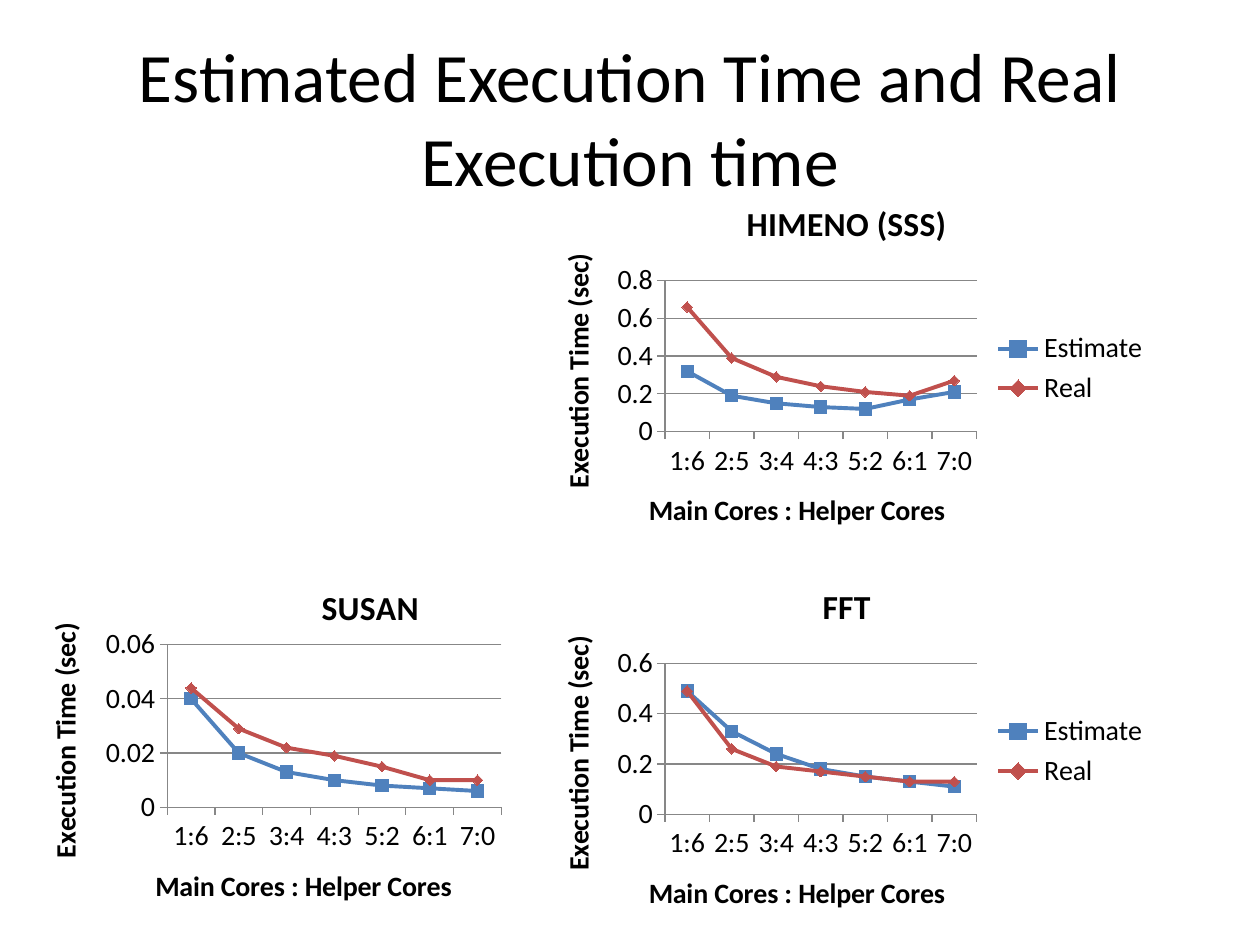
import dataclasses

import lxml.etree
import pptx
import pptx.chart.data
import pptx.dml.color
import pptx.enum.chart
import pptx.enum.text
import pptx.oxml.ns
import pptx.util


@dataclasses.dataclass(frozen=True)
class Theme:
    font: str = "Calibri"
    ink: str = "000000"
    axis: str = "878787"
    series: tuple = ("4F81BD", "C0504D")
    title_size: float = 39.6
    chart_title_size: float = 19.2
    body_size: float = 16
    line_width: float = 2.25
    axis_width: float = 0.75


@dataclasses.dataclass(frozen=True)
class Box:
    left: float
    top: float
    width: float
    height: float

    def lengths(self):
        return [
            pptx.util.Inches(share * side)
            for share, side in zip(
                (self.left, self.top, self.width, self.height), SLIDE_SIZE * 2
            )
        ]


THEME = Theme()
SLIDE_SIZE = (10, 7.5)
RATIOS = [f"{main}:{7 - main}" for main in range(1, 8)]
MARKERS = (
    (pptx.enum.chart.XL_MARKER_STYLE.SQUARE, 7),
    (pptx.enum.chart.XL_MARKER_STYLE.DIAMOND, 6),
)
RIGHT_COLUMN, UPPER_ROW, LOWER_ROW = 0.422, 0.19, 0.595
TITLE_BOX = Box(0.05, 0.04, 0.9, 0.167)
HIMENO_BOX = Box(RIGHT_COLUMN, UPPER_ROW, 0.5, 0.4)
SUSAN_BOX = Box(0.016, LOWER_ROW, 0.556, 0.436)
FFT_BOX = Box(RIGHT_COLUMN, LOWER_ROW, 0.5, 0.4)
SUSAN_PLOT = {"x": 0.21, "y": 0.2, "w": 0.477, "h": 0.395}

HIMENO = {
    "Estimate": (0.32, 0.19, 0.15, 0.13, 0.12, 0.17, 0.21),
    "Real": (0.66, 0.39, 0.29, 0.24, 0.21, 0.19, 0.27),
}
SUSAN = {
    "Series 1": (0.04, 0.02, 0.013, 0.01, 0.008, 0.007, 0.006),
    "Series 2": (0.044, 0.029, 0.022, 0.019, 0.015, 0.01, 0.01),
}
FFT = {
    "Estimate": (0.49, 0.33, 0.24, 0.18, 0.15, 0.13, 0.11),
    "Real": (0.49, 0.26, 0.19, 0.17, 0.15, 0.13, 0.13),
}


def color(value):
    return pptx.dml.color.RGBColor.from_string(value)


def format_font(font, size, bold=False):
    font.name = THEME.font
    font.size = pptx.util.Pt(size)
    font.bold = bold
    font.color.rgb = color(THEME.ink)


def write_text(frame, text, size=THEME.body_size, bold=False, align=None):
    paragraph = frame.paragraphs[0]
    paragraph.alignment = align
    run = paragraph.add_run()
    run.text = text
    format_font(run.font, size, bold)


def format_line(line, value, width):
    line.color.rgb = color(value)
    line.width = pptx.util.Pt(width)


def format_axis(axis, title):
    write_text(axis.axis_title.text_frame, title, bold=True)
    axis.major_tick_mark = pptx.enum.chart.XL_TICK_MARK.OUTSIDE
    axis.minor_tick_mark = pptx.enum.chart.XL_TICK_MARK.NONE
    format_line(axis.format.line, THEME.axis, THEME.axis_width)
    format_font(axis.tick_labels.font, THEME.body_size)


def place_plot(chart, shares):
    qualified = pptx.oxml.ns.qn
    plot_area = chart.plots[0]._element.getparent()
    for layout in plot_area.findall(qualified("c:layout")):
        plot_area.remove(layout)
    layout = lxml.etree.Element(qualified("c:layout"))
    plot_area.insert(0, layout)
    manual = lxml.etree.SubElement(layout, qualified("c:manualLayout"))
    settings = {"layoutTarget": "inner", "xMode": "edge", "yMode": "edge", **shares}
    for name, value in settings.items():
        element = lxml.etree.SubElement(manual, qualified(f"c:{name}"))
        element.set("val", str(value))


def format_series(series, value, marker):
    style, size = marker
    series.smooth = False
    format_line(series.format.line, value, THEME.line_width)
    series.marker.style = style
    series.marker.size = size
    series.marker.format.fill.solid()
    series.marker.format.fill.fore_color.rgb = color(value)
    format_line(series.marker.format.line, value, THEME.axis_width)


def add_time_chart(slide, box, title, times, maximum, step, legend=True, plot=None):
    chart_data = pptx.chart.data.CategoryChartData()
    chart_data.categories = RATIOS
    for name, values in times.items():
        chart_data.add_series(name, values)
    chart = slide.shapes.add_chart(
        pptx.enum.chart.XL_CHART_TYPE.LINE_MARKERS, *box.lengths(), chart_data
    ).chart
    format_font(chart.font, THEME.body_size)
    write_text(
        chart.chart_title.text_frame, title, size=THEME.chart_title_size, bold=True
    )
    chart.chart_title.include_in_layout = False
    chart.plots[0].vary_by_categories = False

    format_axis(chart.category_axis, "Main Cores : Helper Cores")
    format_axis(chart.value_axis, "Execution Time (sec)")
    chart.value_axis.minimum_scale = 0
    chart.value_axis.maximum_scale = maximum
    chart.value_axis.major_unit = step
    chart.value_axis.tick_labels.number_format = "General"
    chart.value_axis.tick_labels.number_format_is_linked = False
    gridlines = chart.value_axis.major_gridlines
    format_line(gridlines.format.line, THEME.axis, THEME.axis_width)

    for series, value, marker in zip(chart.plots[0].series, THEME.series, MARKERS):
        format_series(series, value, marker)
    chart.has_legend = legend
    if legend:
        chart.legend.position = pptx.enum.chart.XL_LEGEND_POSITION.RIGHT
        chart.legend.include_in_layout = False
        format_font(chart.legend.font, THEME.body_size)
    if plot:
        place_plot(chart, plot)


def add_title(slide, box, text):
    frame = slide.shapes.add_textbox(*box.lengths()).text_frame
    frame.word_wrap = True
    frame.vertical_anchor = pptx.enum.text.MSO_ANCHOR.MIDDLE
    write_text(
        frame, text, size=THEME.title_size, align=pptx.enum.text.PP_ALIGN.CENTER
    )


def main():
    presentation = pptx.Presentation()
    presentation.slide_width, presentation.slide_height = map(
        pptx.util.Inches, SLIDE_SIZE
    )
    slide = presentation.slides.add_slide(presentation.slide_layouts[6])
    add_time_chart(slide, HIMENO_BOX, "HIMENO (SSS)", HIMENO, 0.8, 0.2)
    add_time_chart(
        slide, SUSAN_BOX, "SUSAN", SUSAN, 0.06, 0.02, legend=False, plot=SUSAN_PLOT
    )
    add_time_chart(slide, FFT_BOX, "FFT", FFT, 0.6, 0.2)
    add_title(slide, TITLE_BOX, "Estimated Execution Time and Real Execution time")
    presentation.save("out.pptx")


if __name__ == "__main__":
    main()
